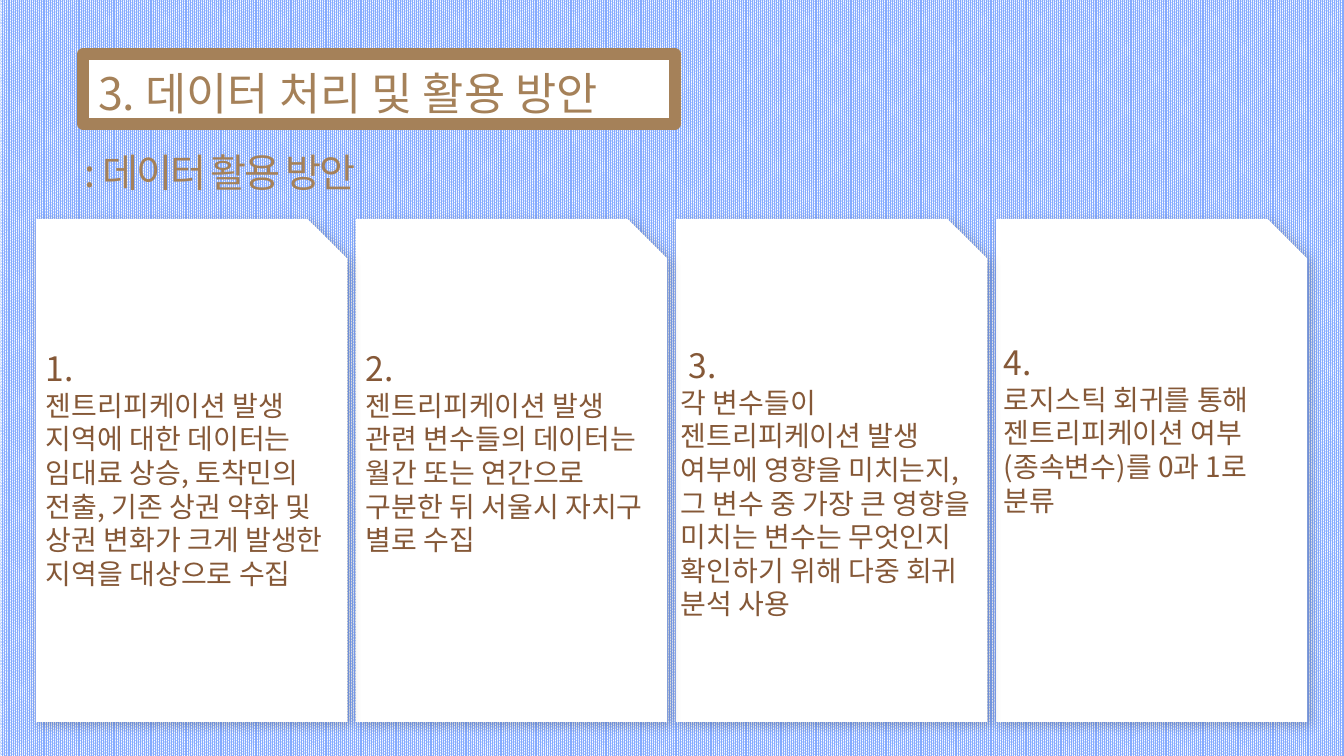
from lxml import etree
from pptx import Presentation
from pptx.dml.color import RGBColor
from pptx.enum.dml import MSO_PATTERN
from pptx.enum.shapes import MSO_SHAPE
from pptx.enum.text import MSO_ANCHOR, MSO_AUTO_SIZE, PP_ALIGN
from pptx.oxml import parse_xml
from pptx.oxml.ns import nsdecls, qn
from pptx.util import Pt

PX = 914400 / 100.8
FONT = "Noto Sans CJK KR"
WHITE = RGBColor(0xFF, 0xFF, 0xFF)
SKY = RGBColor(0x85, 0xAB, 0xFF)
TAN = RGBColor(0xA5, 0x81, 0x59)
BROWN = RGBColor(0x85, 0x58, 0x37)
PATTERN = MSO_PATTERN.PERCENT_90
RECTANGLE = MSO_SHAPE.RECTANGLE
SNIPPED = MSO_SHAPE.SNIP_1_RECTANGLE
TOP = MSO_ANCHOR.TOP
GROW = MSO_AUTO_SIZE.SHAPE_TO_FIT_TEXT
LEFT = PP_ALIGN.LEFT

CARD_LEFT, CARD_TOP, CARD_WIDTH, CARD_HEIGHT, CARD_STEP = 36, 219, 311, 503, 320
SHADOW = (
    f'<a:effectLst {nsdecls("a")}>'
    f'<a:outerShdw blurRad="{Pt(8)}" dist="{Pt(3)}" dir="2700000" algn="tl" rotWithShape="0">'
    '<a:srgbClr val="000000"><a:alpha val="22000"/></a:srgbClr>'
    '</a:outerShdw></a:effectLst>'
)


def emu(*lengths):
    return [round(length * PX) for length in lengths]


def write(box, lines, color, wrap=True):
    """Fill a box with (text, point size) lines, one paragraph each."""
    frame = box.text_frame
    frame.text = "\n".join(text for text, size in lines)
    frame.word_wrap = wrap
    frame.auto_size = GROW
    frame.vertical_anchor = TOP
    for para, (text, size) in zip(frame.paragraphs, lines):
        para.alignment = LEFT
        font = para.runs[0].font
        font.size = Pt(size)
        font.name = FONT
        font.color.rgb = color
        latin = font._element.find(qn("a:latin"))
        east_asian = etree.Element(qn("a:ea"), typeface=FONT)
        latin.addnext(east_asian)


deck = Presentation()
deck.slide_width, deck.slide_height = emu(1344, 756)
page = deck.slides.add_slide(deck.slide_layouts[5])

backdrop = page.background.fill
backdrop.patterned()
backdrop.pattern = PATTERN
backdrop.fore_color.rgb = SKY
backdrop.back_color.rgb = WHITE

# Cards, with the rightmost at the back
for column in reversed(range(4)):
    card = page.shapes.add_shape(
        SNIPPED, *emu(CARD_LEFT + CARD_STEP * column, CARD_TOP, CARD_WIDTH, CARD_HEIGHT))
    card.adjustments[0] = 0.127
    card.fill.solid()
    card.fill.fore_color.rgb = WHITE
    card.line.fill.background()
    card._element.spPr.append(parse_xml(SHADOW))

# Framed title and subtitle
title_frame = page.shapes.add_shape(RECTANGLE, *emu(83, 54, 592, 70))
title_frame.shadow.inherit = False
title_frame.fill.solid()
title_frame.fill.fore_color.rgb = WHITE
title_frame.line.color.rgb = TAN
title_frame.line.width = Pt(8)
etree.SubElement(title_frame.line._get_or_add_ln(), qn("a:round"))

title = page.shapes.title
title.left, title.top, title.width, title.height = emu(88, 61, 588, 65)
write(title, [("3. 데이터 처리 및 활용 방안", 32)], TAN, wrap=False)
title_frame._element.addnext(title._element)

subtitle = page.shapes.add_textbox(*emu(75, 143, 710, 57))
write(subtitle, [(": 데이터 활용 방안", 28)], TAN)
subtitle.text_frame.paragraphs[0].runs[0].font._element.set("spc", "-150")

# Card texts
steps = [
    (36, 343, 311, 254, "1.",
     "젠트리피케이션 발생 지역에 대한 데이터는 임대료 상승, 토착민의 전출, "
     "기존 상권 약화 및 상권 변화가 크게 발생한 지역을 대상으로 수집"),
    (356, 343, 311, 186, "2.",
     "젠트리피케이션 발생 관련 변수들의 데이터는 월간 또는 연간으로 "
     "구분한 뒤 서울시 자치구 별로 수집"),
    (671, 340, 316, 288, " 3.",
     "각 변수들이 젠트리피케이션 발생 여부에 영향을 미치는지, 그 변수 중 가장 큰 "
     "영향을 미치는 변수는 무엇인지 확인하기 위해 다중 회귀 분석 사용"),
    (994, 337, 311, 152, "4.",
     "로지스틱 회귀를 통해 젠트리피케이션 여부(종속변수)를 0과 1로 분류"),
]
for left, top, width, height, number, body in steps:
    box = page.shapes.add_textbox(*emu(left, top, width, height))
    write(box, [(number, 24), (body, 20)], BROWN)

deck.save("out.pptx")
